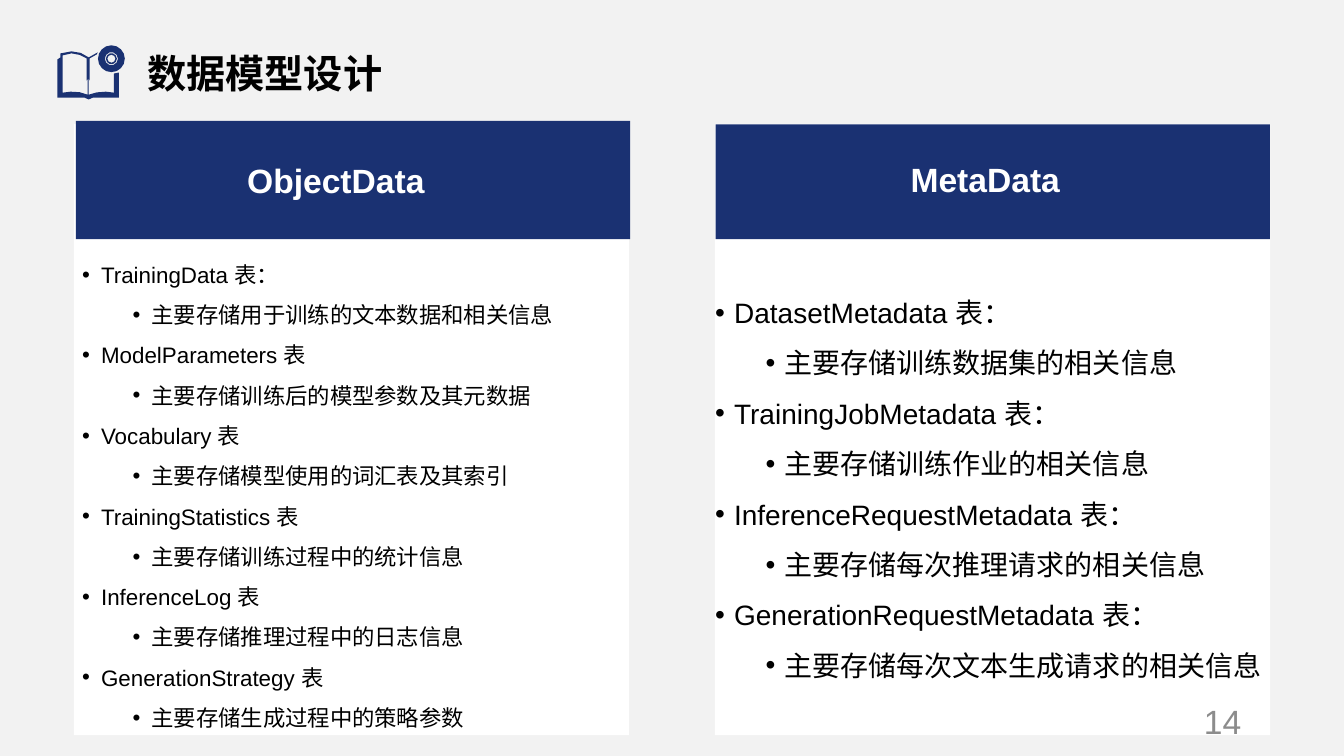
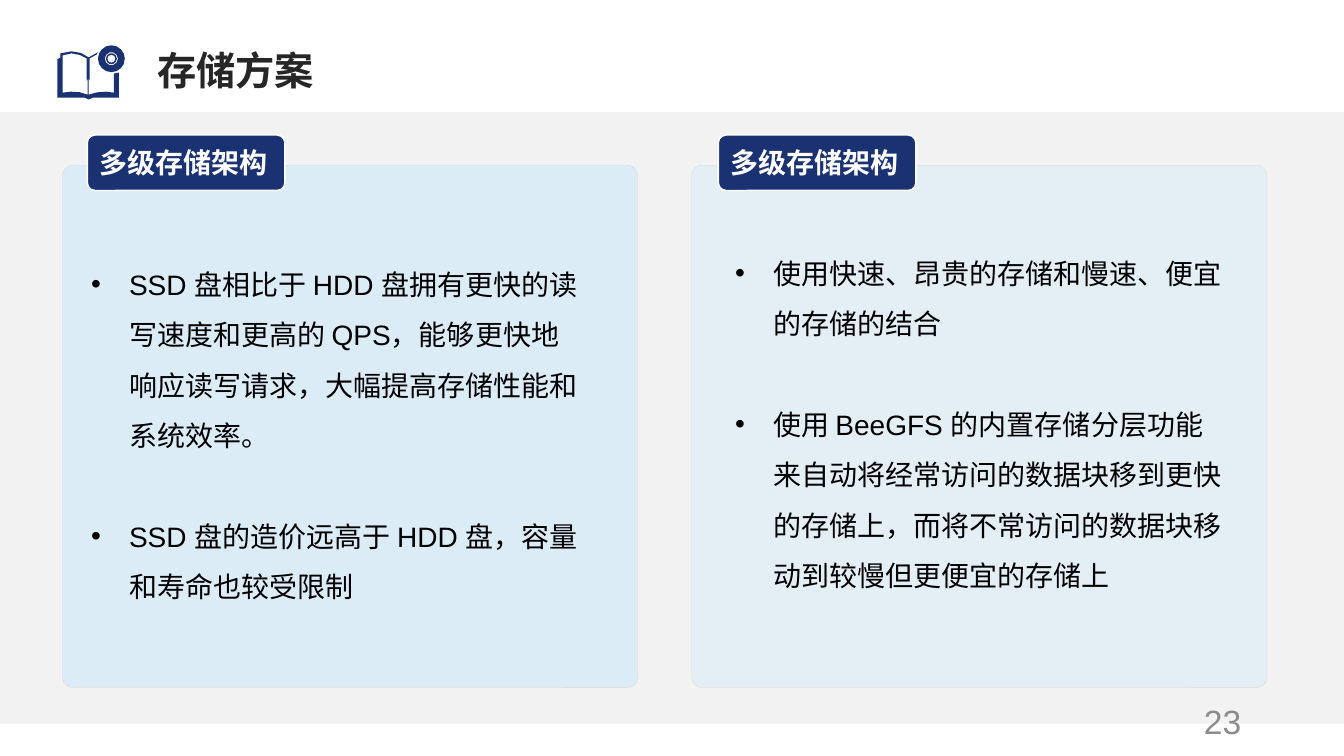
from dataclasses import dataclass
from math import cos, pi, sin
from lxml.etree import SubElement
from pptx import Presentation
from pptx.dml.color import RGBColor
from pptx.enum.shapes import MSO_SHAPE
from pptx.enum.text import MSO_ANCHOR, PP_ALIGN
from pptx.oxml.ns import qn
from pptx.util import Inches, Pt


@dataclass(frozen=True)
class Theme:
    font: str = "Arial"
    navy: str = "1A3172"
    white: str = "FFFFFF"
    grey: str = "F2F2F2"
    black: str = "000000"
    dark: str = "262626"
    sky: str = "BAE5FF"
    edge: str = "D9D9D9"
    mute: str = "8C8C8C"
    title: int = 28
    head: int = 24
    body: int = 20
    small: int = 16


T = Theme()

MODEL = dict(title="数据模型设计", page="14", ink=T.black, spot=(10.23, 3.77), back=T.grey)
TABLES = [
    dict(head="ObjectData", card=5.5, bar=(5.65, 16, 41.25, 15.65), pad=(0.44, 0.05),
         area=(5.38, 32.1, 41.2, 58.8), size=T.small, rows=[
             ("TrainingData 表：", "主要存储用于训练的文本数据和相关信息"),
             ("ModelParameters 表", "主要存储训练后的模型参数及其元数据"),
             ("Vocabulary 表", "主要存储模型使用的词汇表及其索引"),
             ("TrainingStatistics 表", "主要存储训练过程中的统计信息"),
             ("InferenceLog 表", "主要存储推理过程中的日志信息"),
             ("GenerationStrategy 表", "主要存储生成过程中的策略参数")]),
    dict(head="MetaData", card=53.2, bar=(53.25, 16.45, 41.25, 15.2), pad=(0.25, 0.1),
         area=(52.48, 36.22, 42.75, 56.5), size=T.body, rows=[
             ("DatasetMetadata 表：", "主要存储训练数据集的相关信息"),
             ("TrainingJobMetadata 表：", "主要存储训练作业的相关信息"),
             ("InferenceRequestMetadata 表：", "主要存储每次推理请求的相关信息"),
             ("GenerationRequestMetadata 表：", "主要存储每次文本生成请求的相关信息")]),
]

STORE = dict(title="存储方案", page="23", ink=T.dark, spot=(10.98, 3.33), back=T.white)
PANELS = [
    dict(head="多级存储架构", left=4.65, tab=6.5, text=(6.05, 32.48), alpha=40, rows=[
        "SSD 盘相比于 HDD 盘拥有更快的读写速度和更高的 QPS，能够更快地响应读写请求，大幅提高存储性能和系统效率。",
        "SSD 盘的造价远高于 HDD 盘，容量和寿命也较受限制"]),
    dict(head="多级存储架构", left=51.47, tab=53.45, text=(53.97, 30.99), alpha=24, rows=[
        "使用快速、昂贵的存储和慢速、便宜的存储的结合",
        "使用 BeeGFS 的内置存储分层功能来自动将经常访问的数据块移到更快的存储上，而将不常访问的数据块移动到较慢但更便宜的存储上"]),
]

COVER = [(710, 510), (800, 525), (880, 570), (970, 520), (960, 540), (890, 580),
         (890, 800), (880, 780), (880, 940), (960, 917), (1050, 910), (1130, 920),
         (1130, 730), (1180, 720), (1180, 970), (920, 970), (880, 987), (840, 970),
         (570, 970), (570, 590), (600, 570), (600, 530)]
LEAF = [(620, 550), (710, 530), (790, 545), (860, 580), (860, 800),
        (870, 780), (870, 940), (790, 915), (700, 910), (620, 920)]
HUB = (1105, 583)
RINGS = ((133, 16), (65, 10), (55, 10), (40, 8))

deck = Presentation()
deck.slide_width, deck.slide_height = Inches(40 / 3), Inches(7.5)


def place(left, top, wide, high):
    w, h = deck.slide_width / 100, deck.slide_height / 100
    return [round(v) for v in (left * w, top * h, wide * w, high * h)]


def tint(fill, color):
    fill.solid()
    fill.fore_color.rgb = RGBColor.from_string(color)


def block(slide, box, color, line=None, curve=None, alpha=None):
    kind = MSO_SHAPE.RECTANGLE if curve is None else MSO_SHAPE.ROUNDED_RECTANGLE
    shape = slide.shapes.add_shape(kind, *place(*box))
    shape.shadow.inherit = False
    tint(shape.fill, color)
    if curve is not None:
        shape.adjustments[0] = curve
    if alpha:
        tone = shape.fill._xPr.find(qn("a:solidFill"))[0]
        SubElement(tone, qn("a:alpha"), val=str(alpha * 1000))
    if line:
        tint(shape.line.fill, line[0])
        shape.line.width = Pt(line[1])
    else:
        shape.line.fill.background()
    return shape


def style(para, size, color, bold=False, align=PP_ALIGN.LEFT, space=None):
    para.alignment = align
    para.line_spacing = space
    font = para.font
    font.name, font.size, font.bold = T.font, Pt(size), bold
    font.color.rgb = RGBColor.from_string(color)


def label(shape, text, size, color, anchor=MSO_ANCHOR.MIDDLE, **look):
    frame = shape.text_frame
    frame.word_wrap = True
    frame.vertical_anchor = anchor
    para = frame.paragraphs[0]
    para.text = text
    style(para, size, color, **look)
    return frame


def bullets(slide, box, rows, size, hang, gap=0):
    frame = slide.shapes.add_textbox(*place(*box)).text_frame
    frame.word_wrap = True
    for i, (text, level) in enumerate(rows):
        para = frame.paragraphs[0] if i == 0 else frame.add_paragraph()
        para.text, para.level = text, level
        prop = para._p.get_or_add_pPr()
        prop.set("marL", str(Inches(hang + level / 2)))
        prop.set("indent", str(-Inches(hang)))
        SubElement(prop, qn("a:buFont"), typeface=T.font)
        SubElement(prop, qn("a:buChar"), char="•")
        style(para, size, T.black, space=1.5)
        if i and gap:
            para.space_before = Pt(gap)


def ring(size, steps):
    x, y = HUB
    turns = [2 * pi * i / steps for i in range(steps)]
    return [(x + size * cos(a), y + size * sin(a)) for a in turns]


def icon(slide):
    first, *rest = [COVER, LEAF] + [ring(*r) for r in RINGS]
    pen = slide.shapes.build_freeform(*first[0], scale=Inches(1) / 1000)
    pen.add_line_segments(first[1:], close=True)
    for loop in rest:
        pen.move_to(*loop[0])
        pen.add_line_segments(loop[1:], close=True)
    book = pen.convert_to_shape()
    book.shadow.inherit = False
    tint(book.fill, T.navy)
    book.line.fill.background()


def start(info):
    slide = deck.slides.add_slide(deck.slide_layouts[6])
    tint(slide.background.fill, info["back"])
    return slide


def frame(slide, info):
    icon(slide)
    head = slide.shapes.add_textbox(*place(*info["spot"], 60, 9.73))
    label(head, info["title"], T.title, info["ink"], MSO_ANCHOR.BOTTOM, bold=True, space=0.9)
    page = slide.shapes.add_textbox(*place(70.6, 92.67, 22.5, 5.33))
    label(page, info["page"], T.head, T.mute, align=PP_ALIGN.RIGHT)


def model():
    slide = start(MODEL)
    for item in TABLES:
        block(slide, (item["card"], 16.4, 41.3, 80.85), T.white)
        bar = block(slide, item["bar"], T.navy)
        text = label(bar, item["head"], T.head, T.white, bold=True, align=PP_ALIGN.CENTER)
        text.margin_right, text.margin_bottom = map(Inches, item["pad"])
        rows = [(text, level) for pair in item["rows"] for level, text in enumerate(pair)]
        bullets(slide, item["area"], rows, item["size"], 3 / 16)
    frame(slide, MODEL)


def store():
    slide = start(STORE)
    block(slide, (0, 14.8, 100, 80.93), T.grey)
    for item in PANELS:
        block(slide, (item["left"], 21.87, 42.8, 69.07), T.sky, (T.edge, 0.25), 0.02, item["alpha"])
        tab = block(slide, (item["tab"], 17.87, 14.7, 7.33), T.navy, (T.white, 1), 0.14)
        label(tab, item["head"], T.body, T.white, bold=True)
        rows = [(text, 0) for text in item["rows"]]
        bullets(slide, (*item["text"], 38.18, 55.33), rows, T.body, 3 / 8, gap=36)
    frame(slide, STORE)


def main():
    model()
    store()
    deck.save("out.pptx")


if __name__ == "__main__":
    main()
